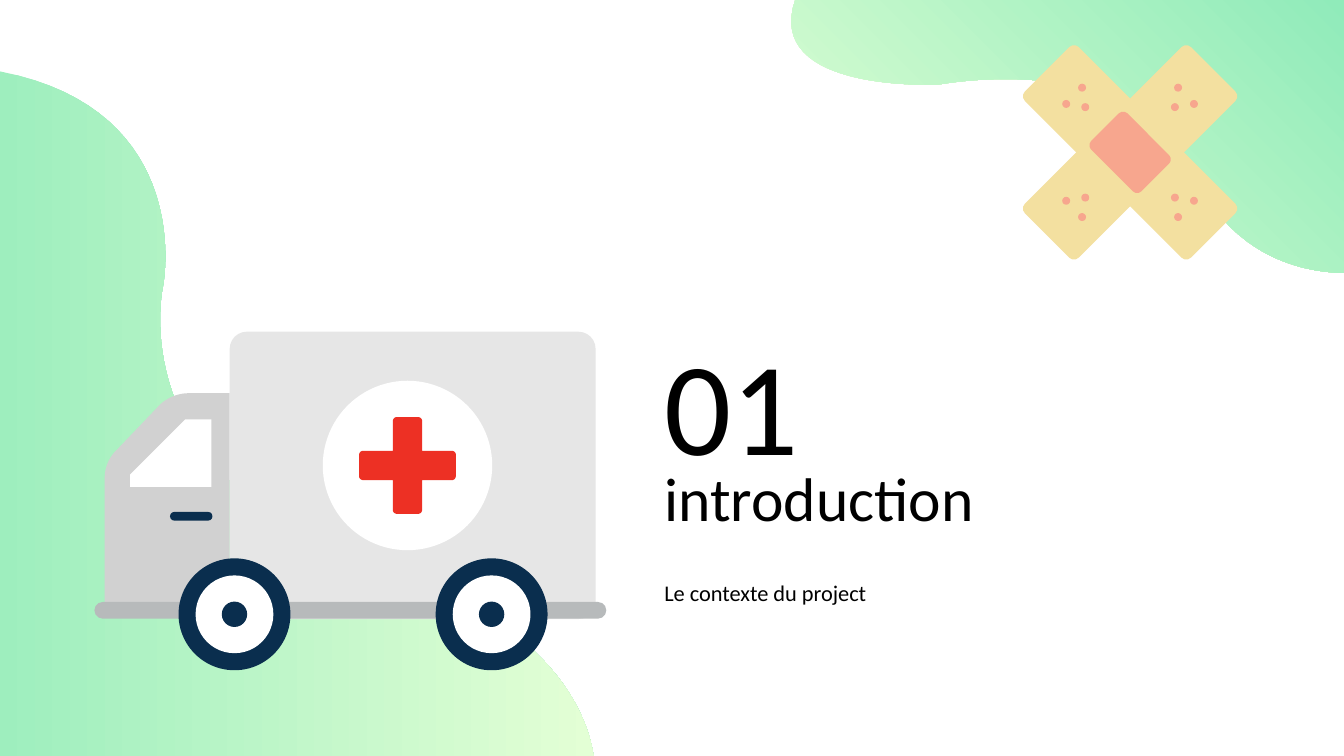
from dataclasses import dataclass

from pptx import Presentation
from pptx.dml.color import RGBColor
from pptx.enum.shapes import MSO_SHAPE
from pptx.enum.text import MSO_ANCHOR, MSO_AUTO_SIZE, PP_ALIGN
from pptx.util import Cm, Pt


@dataclass(frozen=True)
class Theme:
    font: str = "Calibri"
    number_size: float = 94.7
    title_size: float = 44
    subtitle_size: float = 16
    text: str = "000000"
    pale_green: str = "E3FFD5"
    soft_mint: str = "9EEEBE"
    mint: str = "90EBBA"
    plaster: str = "F3E0A0"
    pad: str = "F7A68E"
    cab: str = "D1D1D1"
    body: str = "E6E6E6"
    chassis: str = "B7BABB"
    navy: str = "0A2E4E"
    white: str = "FFFFFF"
    red: str = "ED3024"


THEME = Theme()

# Content; all lengths are in centimetres
NUMBER = "01"
TITLE = "introduction"
SUBTITLE = "Le contexte du project"
TEXT_LEFT, TEXT_WIDTH, TEXT_INSET = 16.41, 14.78, 0.33

# Outlines: a start point, then steps of one point (line) or three (curve)
LEFT_WAVE = [
    [(14.96, 19.05)],
    [(14.78, 17.88), (13.82, 15.62), (9.35, 14.15)],
    [(3, 12.07), (4.11, 7.21), (4.11, 7.21)],
    [(4.11, 7.21), (4.98, 2.78), (0, 1.8)],
    [(0, 19.05)],
]
TOP_WAVE = [
    [(33.87, 6.88)],
    [(32.82, 6.86), (31.04, 6.48), (30.07, 4.34)],
    [(28.65, 1.17), (23.67, 2.13), (23.67, 2.13)],
    [(23.67, 2.13), (19.23, 2.36), (20.04, 0)],
    [(33.87, 0)],
]
CAB = [
    [(5.79, 9.91)],
    [(4.75, 9.91)],
    [(4.5, 9.91), (4.24, 10.01), (4.04, 10.19)],
    [(2.95, 11.33)],
    [(2.74, 11.53), (2.64, 11.79), (2.64, 12.04)],
    [(2.64, 15.49)],
    [(5.79, 15.49)],
]
WINDOW = [[(3.28, 12.27)], [(5.33, 12.27)], [(5.33, 10.57)],
          [(4.67, 10.57)], [(3.28, 11.96)]]

# Centre, size
BODY = ((10.4, 11.98), (9.22, 7.24))
CHASSIS = ((8.83, 15.38), (12.9, 0.42))
HANDLE = ((4.82, 13.01), (1.07, 0.22))
EMBLEM_CENTRE, EMBLEM_DIAMETER = (10.27, 11.73), 4.27
CROSS_LENGTH, CROSS_THICKNESS, CROSS_RADIUS = 2.44, 0.74, 0.11
WHEEL_CENTRES = [(5.91, 15.48), (12.39, 15.48)]
WHEEL_RINGS = [(2.82, THEME.navy), (1.96, THEME.white), (0.64, THEME.navy)]

PLASTER_CENTRE = (28.48, 3.84)
PLASTER_SIZE, PAD_SIZE = (5.92, 1.92), (1.79, 1.29)
DOT_OFFSETS = [(1.21, 1.63), (1.61, 1.22), (1.13, 1.14)]
DOT_DIAMETER = 0.2


def rgb(colour):
    return RGBColor.from_string(colour)


def finish(shape, colour=None):
    shape.shadow.inherit = False
    shape.line.fill.background()
    if colour:
        shape.fill.solid()
        shape.fill.fore_color.rgb = rgb(colour)
    return shape


def add_centred(shapes, kind, centre, size, colour):
    (x, y), (width, height) = centre, size
    shape = shapes.add_shape(kind, Cm(x - width / 2), Cm(y - height / 2),
                             Cm(width), Cm(height))
    return finish(shape, colour)


def add_disc(shapes, centre, diameter, colour):
    add_centred(shapes, MSO_SHAPE.OVAL, centre, (diameter, diameter), colour)


def add_rounded(shapes, centre, size, colour, radius, rotation=0):
    shape = add_centred(shapes, MSO_SHAPE.ROUNDED_RECTANGLE, centre, size, colour)
    shape.adjustments[0] = radius / min(size)
    shape.rotation = rotation


def curve_points(start, control_1, control_2, end, steps=32):
    """Sample a cubic Bézier curve, leaving out its start point."""
    points = []
    for step in range(1, steps + 1):
        t = step / steps
        weights = ((1 - t) ** 3, 3 * t * (1 - t) ** 2, 3 * t * t * (1 - t), t ** 3)
        corners = (start, control_1, control_2, end)
        points.append(tuple(sum(weight * corner[axis]
                                for weight, corner in zip(weights, corners))
                            for axis in (0, 1)))
    return points


def cross_outline():
    """Turn the rounded upper arm through four quarter turns."""
    half, reach = CROSS_THICKNESS / 2, CROSS_LENGTH / 2
    flat, shoulder = half - CROSS_RADIUS, CROSS_RADIUS - reach
    arm = [
        [(-half, -half)],
        [(-half, shoulder)],
        [(-half, shoulder), (-half, -reach), (-flat, -reach)],
        [(flat, -reach)],
        [(flat, -reach), (half, -reach), (half, shoulder)],
    ]
    centre_x, centre_y = EMBLEM_CENTRE
    outline = []
    for _ in range(4):
        outline += [[(centre_x + x, centre_y + y) for x, y in step] for step in arm]
        arm = [[(-y, x) for x, y in step] for step in arm]
    return outline


def add_outline(shapes, outline, colour=None):
    points = list(outline[0])
    for segment in outline[1:]:
        points += curve_points(points[-1], *segment) if len(segment) == 3 else segment
    corners = [(Cm(x), Cm(y)) for x, y in points]
    builder = shapes.build_freeform(*corners[0], scale=1.0)
    builder.add_line_segments(corners[1:], close=True)
    return finish(builder.convert_to_shape(), colour)


def add_wave(shapes, outline, colours, angle):
    fill = add_outline(shapes, outline).fill
    fill.gradient()
    fill.gradient_angle = angle
    for stop, colour in zip(fill.gradient_stops, colours):
        stop.color.rgb = rgb(colour)


def write(shape, text, size, top, height, spacing=1.0, anchor=MSO_ANCHOR.TOP):
    shape.left, shape.top = Cm(TEXT_LEFT), Cm(top)
    shape.width, shape.height = Cm(TEXT_WIDTH), Cm(height)
    frame = shape.text_frame
    frame.text = text
    frame.word_wrap = True
    frame.auto_size = MSO_AUTO_SIZE.NONE
    frame.vertical_anchor = anchor
    frame.margin_left = frame.margin_right = Cm(TEXT_INSET)
    frame.margin_top = frame.margin_bottom = Cm(TEXT_INSET)
    paragraph = frame.paragraphs[0]
    paragraph.alignment = PP_ALIGN.LEFT
    paragraph.line_spacing = spacing
    paragraph.space_before = Pt(0)
    font = paragraph.runs[0].font
    font.name, font.size, font.bold = THEME.font, Pt(size), False
    font.color.rgb = rgb(THEME.text)


def add_ambulance(shapes):
    add_outline(shapes, CAB, THEME.cab)
    add_outline(shapes, WINDOW, THEME.white)
    add_rounded(shapes, *HANDLE, THEME.navy, 0.11)
    add_rounded(shapes, *BODY, THEME.body, 0.43)
    add_disc(shapes, EMBLEM_CENTRE, EMBLEM_DIAMETER, THEME.white)
    add_outline(shapes, cross_outline(), THEME.red)
    add_rounded(shapes, *CHASSIS, THEME.chassis, 0.21)
    for centre in WHEEL_CENTRES:
        for diameter, colour in WHEEL_RINGS:
            add_disc(shapes, centre, diameter, colour)


def add_plasters(shapes):
    x, y = PLASTER_CENTRE
    for tilt in (-1, 1):
        add_rounded(shapes, (x, y), PLASTER_SIZE, THEME.plaster, 0.17, 45 * tilt)
        for end in (-1, 1):
            for dx, dy in DOT_OFFSETS:
                add_disc(shapes, (x + end * dx, y + end * tilt * dy),
                         DOT_DIAMETER, THEME.pad)
    add_rounded(shapes, (x, y), PAD_SIZE, THEME.pad, 0.15, 45)


def main():
    presentation = Presentation()
    presentation.slide_width, presentation.slide_height = Cm(33.87), Cm(19.05)
    slide = presentation.slides.add_slide(presentation.slide_layouts[0])
    shapes = slide.shapes
    add_wave(shapes, LEFT_WAVE, (THEME.soft_mint, THEME.pale_green), 0)
    add_wave(shapes, TOP_WAVE, (THEME.pale_green, THEME.mint), 45)
    write(shapes.title, TITLE, THEME.title_size, 11.48, 2.29, spacing=0.9)
    write(shapes.add_textbox(0, 0, 0, 0), NUMBER, THEME.number_size, 7.8, 3.56)
    write(slide.placeholders[1], SUBTITLE, THEME.subtitle_size, 14.38, 1.09,
          anchor=MSO_ANCHOR.MIDDLE)
    add_plasters(shapes.add_group_shape().shapes)
    add_ambulance(shapes.add_group_shape().shapes)
    presentation.save("out.pptx")


if __name__ == "__main__":
    main()
